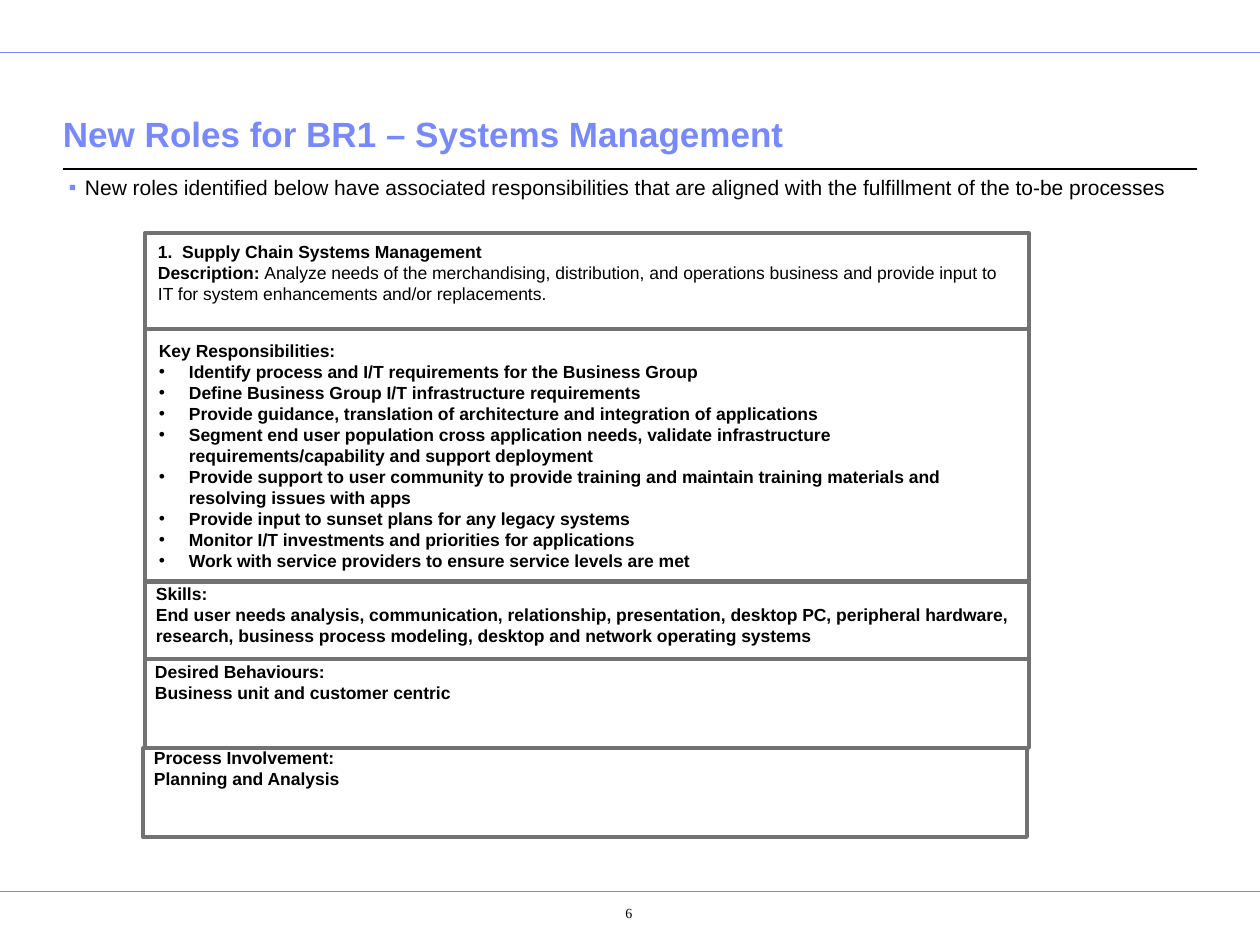
from lxml import etree
from pptx import Presentation
from pptx import util as u
from pptx.dml.color import RGBColor
from pptx.enum import shapes, text
from pptx.oxml.ns import qn

SCALE = u.Inches(1) / 126
BLUE, GREY, BLACK = "7889FB", "727272", "000000"
PAD = (13, 6, 13, 6)


def px(n):
    return u.Emu(round(n * SCALE))


def color(code):
    return RGBColor.from_string(code)


def add_rule(slide, left, right, y, code, width):
    rule = slide.shapes.add_connector(
        shapes.MSO_CONNECTOR.STRAIGHT, px(left), px(y), px(right), px(y))
    rule.line.color.rgb = color(code)
    rule.line.width = u.Pt(width)
    etree.SubElement(rule._element.spPr, qn("a:effectLst"))


def add_frame(slide, left, top, width, height):
    frame = slide.shapes.add_shape(
        shapes.MSO_SHAPE.RECTANGLE, px(left), px(top), px(width), px(height))
    frame.shadow.inherit = False
    frame.fill.background()
    frame.line.color.rgb = color(GREY)
    frame.line.width = u.Pt(2.25)


def add_bullet(para, sign, code, indent):
    props = para._p.get_or_add_pPr()
    props.set("marL", str(px(indent)))
    props.set("indent", str(-px(indent)))
    tint = etree.SubElement(props, qn("a:buClr"))
    etree.SubElement(tint, qn("a:srgbClr"), val=code)
    etree.SubElement(props, qn("a:buFont"), typeface="Arial")
    etree.SubElement(props, qn("a:buChar"), char=sign)


def style(run, size, code=BLACK, bold=False, face="Arial"):
    run.font.name = face
    run.font.size = u.Pt(size)
    run.font.bold = bold
    run.font.color.rgb = color(code)


def add_text(slide, box, lines, size, pad=PAD, **look):
    """Add a text box with one paragraph per line and return its frame."""
    frame = slide.shapes.add_textbox(*map(px, box)).text_frame
    frame.word_wrap = True
    (frame.margin_left, frame.margin_top,
     frame.margin_right, frame.margin_bottom) = map(px, pad)
    frame.text = "\n".join(lines)
    for para in frame.paragraphs:
        for run in para.runs:
            style(run, size, **look)
    return frame


def main():
    deck = Presentation()
    deck.slide_width, deck.slide_height = px(1260), px(945)
    slide = deck.slides.add_slide(deck.slide_layouts[6])

    # Page rules
    add_rule(slide, 0, 1260, 52, BLUE, 0.5)
    add_rule(slide, 0, 1260, 891, BLUE, 0.5)
    add_rule(slide, 63, 1197, 169, BLACK, 0.75)

    # Title and lead line
    title = add_text(slide, (63, 81, 1134, 79),
                     ["New Roles for BR1 – Systems Management"],
                     20, (0, 6, 0, 6), code=BLUE, bold=True)
    title.vertical_anchor = text.MSO_ANCHOR.BOTTOM
    lead = add_text(slide, (63, 169, 1134, 50), [
        "New roles identified below have associated responsibilities that are "
        "aligned with the fulfillment of the to-be processes"],
        12, (6, 6, 6, 6))
    add_bullet(lead.paragraphs[0], "▪", BLUE, 16)

    # Frames of the role card
    for left, top, height in ((145, 233, 96), (145, 329, 252), (145, 582, 77),
                              (145, 659, 89), (143, 748, 89)):
        add_frame(slide, left, top, 884, height)

    # Role and description
    role = add_text(slide, (145, 235, 882, 76),
                    ["1.  Supply Chain Systems Management", "Description: "],
                    10, bold=True)
    detail = role.paragraphs[1].add_run()
    detail.text = ("Analyze needs of the merchandising, distribution, and "
                   "operations business and provide input to IT for system "
                   "enhancements and/or replacements.")
    style(detail, 10)

    # Responsibilities
    duties = add_text(slide, (146, 334, 856, 244), [
        "Key Responsibilities:",
        "Identify process and I/T requirements for the Business Group",
        "Define Business Group I/T infrastructure requirements",
        "Provide guidance, translation of architecture and integration of "
        "applications",
        "Segment end user population cross application needs, validate "
        "infrastructure requirements/capability and support deployment",
        "Provide support to user community to provide training and maintain "
        "training materials and resolving issues with apps",
        "Provide input to sunset plans for any legacy systems",
        "Monitor I/T investments and priorities for applications",
        "Work with service providers to ensure service levels are met",
    ], 10, bold=True)
    for para in duties.paragraphs[1:]:
        add_bullet(para, "•", BLACK, 30)

    # Skills, behaviours and process
    for box, lines in (
        ((143, 577, 884, 76), [
            "Skills:",
            "End user needs analysis, communication, relationship, "
            "presentation, desktop PC, peripheral hardware, research, business "
            "process modeling, desktop and network operating systems"]),
        ((142, 655, 325, 55),
         ["Desired Behaviours:", "Business unit and customer centric"]),
        ((141, 741, 216, 55),
         ["Process Involvement:", "Planning and Analysis"]),
    ):
        add_text(slide, box, lines, 10, bold=True)

    # Page number
    page = add_text(slide, (538, 896, 145, 44), ["6"], 8, (50, 9, 13, 6),
                    face="Times New Roman")
    page.paragraphs[0].alignment = text.PP_ALIGN.CENTER

    deck.save("out.pptx")


if __name__ == "__main__":
    main()
